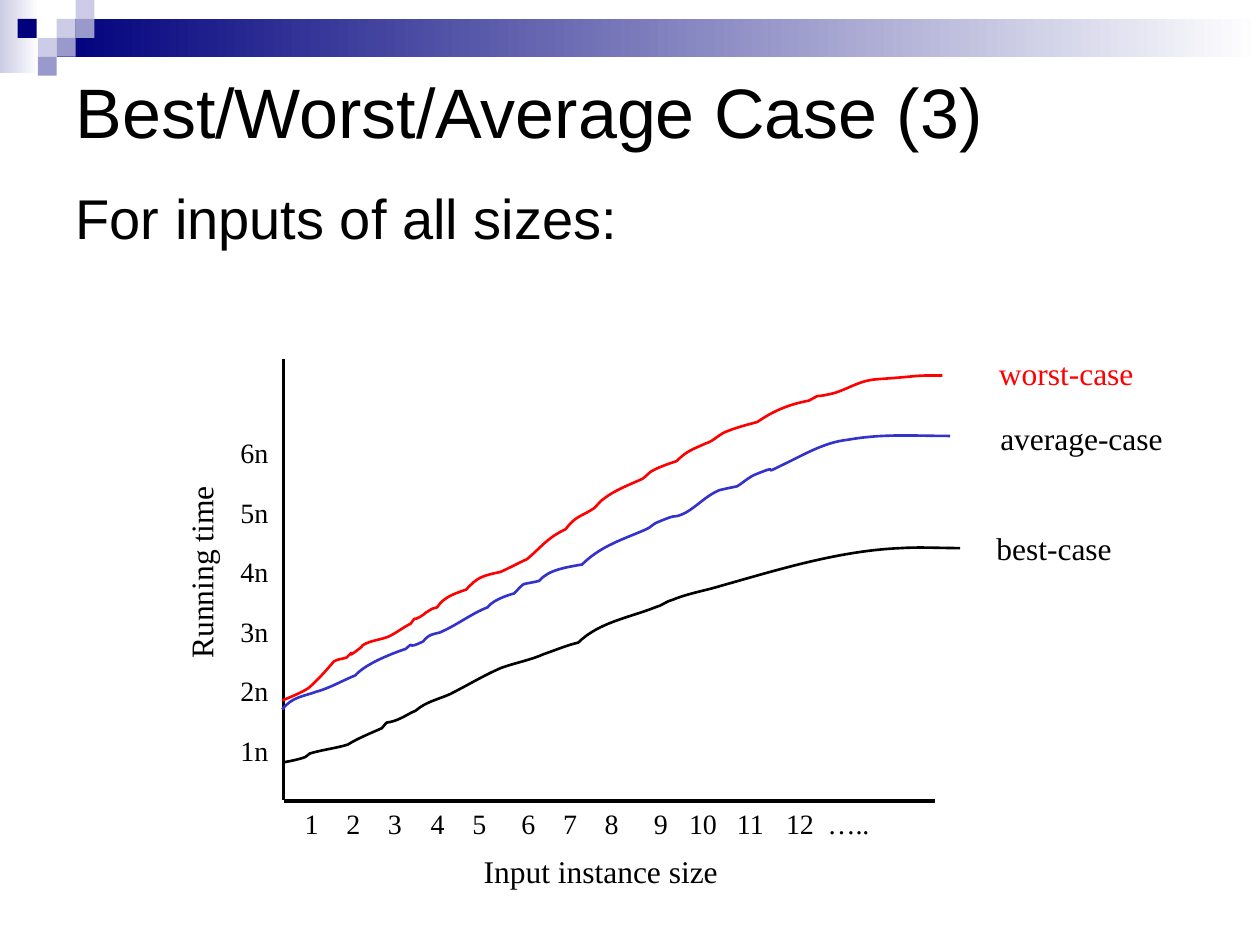
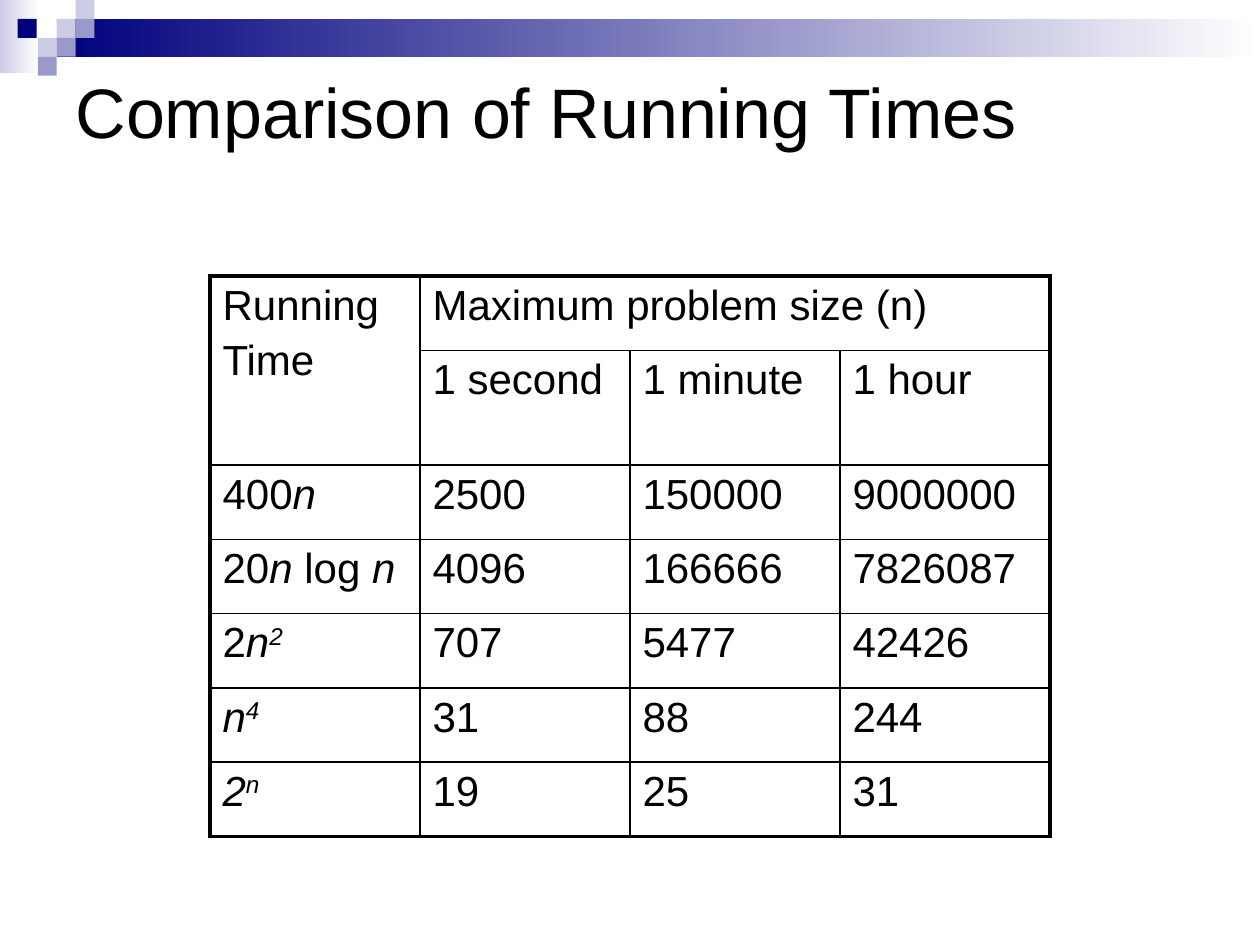
from dataclasses import dataclass
from typing import NamedTuple

from lxml.etree import SubElement as Sub
from pptx import Presentation
from pptx.dml.color import RGBColor as Rgb
from pptx.enum.shapes import MSO_CONNECTOR as Conn, MSO_SHAPE as Geo
from pptx.enum.text import MSO_ANCHOR as Anchor, MSO_AUTO_SIZE as Auto, PP_ALIGN as Align
from pptx.oxml.ns import qn
from pptx.util import Inches, Pt


@dataclass(frozen=True)
class Theme:
    """Colours, fonts, type sizes and line widths of the deck."""
    black: str = "000000"
    white: str = "FFFFFF"
    navy: str = "00007D"
    mid: str = "9999CC"
    pale: str = "CCCCE6"
    red: str = "FF0000"
    blue: str = "3333CC"
    sans: str = "Arial"
    serif: str = "Times New Roman"
    title: float = 40
    body: float = 32
    cell: float = 24
    label: float = 18
    tick: float = 16
    axis: float = 2.24
    curve: float = 1.5
    thick: float = 2.21
    thin: float = 0.96


T = Theme()
NO_STYLE = "{2D5ABB26-0587-4C30-8999-92F81FD0307C}"


class Box(NamedTuple):
    """A place on the slide, in inches."""
    left: float
    top: float
    width: float
    height: float

    def emu(self) -> list:
        """Give the four values as lengths."""
        return [Inches(v) for v in self]


class Block(NamedTuple):
    """A rectangle of the master band, with a gradient if end is set."""
    box: Box
    color: str
    end: str = ""


class Label(NamedTuple):
    """A line of text on the chart."""
    text: str
    box: Box
    size: float = T.label
    color: str = T.black
    turn: float = 0


class Curve(NamedTuple):
    """A start point and Bezier triples, with a colour."""
    color: str
    points: tuple


class Part(NamedTuple):
    """A piece of text inside a cell."""
    text: str
    ital: bool = False
    sup: bool = False


SQ = 0.15
BAND = (
    Block(Box(0, 0, 0.31, 0.58), T.pale, T.white),
    Block(Box(0.45, SQ, 9.55, 0.3), T.navy, T.white),
    *(Block(Box(x, y, SQ, SQ), color) for x, y, color in (
        (0.45, 0.15, T.pale), (0.6, 0, T.pale), (0.6, 0.15, T.mid),
        (0.3, 0.3, T.pale), (0.14, 0.15, T.navy), (0.45, 0.3, T.mid),
        (0.3, 0.45, T.mid))),
)

STEPS = [Label(f"{n}n", Box(1.81, 5.77 - 0.472 * (n - 1), 0.42, 0.36), T.tick)
         for n in range(1, 7)]
NAMES = (
    Label("Input instance size", Box(3.74, 6.71, 2.06, 0.4)),
    Label("Running time", Box(0.81, 4.34, 1.57, 0.4), turn=270),
)
CASES = (
    Label("best-case", Box(7.81, 4.15, 1.12, 0.4)),
    Label("average-case", Box(7.84, 3.28, 1.49, 0.4)),
    Label("worst-case", Box(7.83, 2.76, 1.27, 0.4), color=T.red),
)

TICKS = (*map(str, range(1, 13)), "…..")
STOPS = (0.33, 0.66, 1, 1.33, 1.72, 2.05, 2.38, 2.77, 3.05, 3.43, 3.82, 4.15)
AXES = ((2.25, 2.85, 2.25, 6.35), (2.25, 6.36, 7.42, 6.36))

BEST = Curve(T.black, (
    (2.25, 6.05),
    (2.31, 6.04), (2.36, 6.03), (2.42, 6.01), (2.43, 6.01), (2.44, 5.99), (2.46, 5.98),
    (2.56, 5.95), (2.66, 5.94), (2.76, 5.91), (2.84, 5.86), (2.94, 5.82), (3.03, 5.78),
    (3.1, 5.7), (3.03, 5.76), (3.16, 5.71), (3.21, 5.69), (3.25, 5.66), (3.3, 5.64),
    (3.38, 5.57), (3.48, 5.55), (3.57, 5.51), (3.71, 5.44), (3.84, 5.36), (3.98, 5.3),
    (4.09, 5.26), (4.21, 5.24), (4.32, 5.19), (4.41, 5.16), (4.5, 5.12), (4.59, 5.1),
    (4.75, 4.94), (5, 4.9), (5.2, 4.82), (5.25, 4.81), (5.29, 4.77), (5.34, 4.76),
    (5.46, 4.71), (5.59, 4.69), (5.72, 4.65), (6.18, 4.52), (6.66, 4.37), (7.15, 4.35),
    (7.3, 4.34), (7.46, 4.35), (7.62, 4.35)))
WORST = Curve(T.red, (
    (2.24, 5.56),
    (2.31, 5.53), (2.39, 5.5), (2.45, 5.46), (2.52, 5.4), (2.59, 5.32), (2.65, 5.25),
    (2.68, 5.23), (2.72, 5.23), (2.75, 5.22), (2.85, 5.12), (2.71, 5.26), (2.85, 5.15),
    (2.87, 5.15), (2.87, 5.12), (2.88, 5.12), (2.95, 5.08), (3.02, 5.08), (3.09, 5.05),
    (3.15, 5.02), (3.2, 4.98), (3.26, 4.95), (3.32, 4.87), (3.25, 4.95), (3.36, 4.88),
    (3.37, 4.87), (3.38, 4.86), (3.4, 4.85), (3.42, 4.83), (3.44, 4.83), (3.47, 4.82),
    (3.52, 4.74), (3.61, 4.71), (3.7, 4.68), (3.79, 4.58), (3.83, 4.57), (3.97, 4.54),
    (4.04, 4.51), (4.11, 4.47), (4.18, 4.44), (4.29, 4.35), (4.34, 4.27), (4.49, 4.2),
    (4.57, 4.09), (4.62, 4.1), (4.72, 4.03), (4.74, 4.01), (4.76, 3.98), (4.79, 3.96),
    (4.88, 3.89), (4.99, 3.85), (5.1, 3.8), (5.13, 3.78), (5.16, 3.74), (5.19, 3.73),
    (5.25, 3.7), (5.31, 3.68), (5.37, 3.66), (5.45, 3.58), (5.49, 3.57), (5.6, 3.52),
    (5.67, 3.5), (5.71, 3.44), (5.78, 3.42), (5.85, 3.39), (6.01, 3.35), (6.01, 3.35),
    (6.14, 3.26), (6.26, 3.21), (6.42, 3.18), (6.55, 3.11), (6.42, 3.17), (6.62, 3.12),
    (6.75, 3.08), (6.82, 3.02), (6.96, 3.01), (7.38, 2.98), (7.21, 2.98), (7.48, 2.98)))
MEAN = Curve(T.blue, (
    (2.24, 5.63),
    (2.32, 5.53), (2.4, 5.53), (2.51, 5.49), (2.62, 5.46), (2.72, 5.4), (2.82, 5.36),
    (2.9, 5.27), (3.1, 5.19), (3.22, 5.15), (3.31, 5.07), (3.2, 5.17), (3.36, 5.09),
    (3.37, 5.08), (3.38, 5.06), (3.4, 5.05), (3.43, 5.03), (3.46, 5.03), (3.49, 5.02),
    (3.63, 4.96), (3.74, 4.87), (3.87, 4.82), (3.92, 4.75), (4.08, 4.71), (4.08, 4.71),
    (4.18, 4.61), (4.11, 4.65), (4.28, 4.61), (4.35, 4.52), (4.51, 4.5), (4.62, 4.48),
    (4.77, 4.33), (4.95, 4.28), (5.13, 4.2), (5.16, 4.19), (5.19, 4.15), (5.23, 4.14),
    (5.42, 4.06), (5.31, 4.13), (5.44, 4.07), (5.53, 4.02), (5.61, 3.93), (5.71, 3.89),
    (5.75, 3.88), (5.8, 3.87), (5.85, 3.86), (5.9, 3.83), (5.95, 3.78), (6.01, 3.76),
    (6.23, 3.67), (6.01, 3.79), (6.21, 3.69), (6.38, 3.61), (6.54, 3.51), (6.73, 3.49),
    (7.01, 3.44), (7.25, 3.46), (7.54, 3.46)))

N = Part("n", ital=True)
HEADS = ("1 second", "1 minute", "1 hour")
RATES = (
    ((Part("400"), N), "2500", "150000", "9000000"),
    ((Part("20"), N, Part(" log "), N), "4096", "166666", "7826087"),
    ((Part("2"), N, Part("2", True, True)), "707", "5477", "42426"),
    ((N, Part("4", True, True)), "31", "88", "244"),
    ((Part("2", True), Part("n", True, True)), "19", "25", "31"),
)


def style(para, face: str, size: float, color: str = T.black) -> None:
    """Set the font of a paragraph."""
    font = para.font
    font.name, font.size = face, Pt(size)
    font.color.rgb = Rgb.from_string(color)


def add_band(deck, slide) -> None:
    """Draw the band once and move it behind all else on the master."""
    tree = deck.slide_master.element.cSld.spTree
    for spot, block in enumerate(BAND, 2):
        shape = slide.shapes.add_shape(Geo.RECTANGLE, *block.box.emu())
        shape.shadow.inherit = False
        shape.line.fill.background()
        if block.end:
            shape.fill.gradient()
            shape.fill.gradient_angle = 0
            for stop, color in zip(shape.fill.gradient_stops, (block.color, block.end)):
                stop.color.rgb = Rgb.from_string(color)
        else:
            shape.fill.solid()
            shape.fill.fore_color.rgb = Rgb.from_string(block.color)
        tree.insert(spot, shape.element)


def fill_holder(shape, text: str, box: Box, size: float):
    """Move a placeholder, set its text and return the paragraph."""
    shape.left, shape.top, shape.width, shape.height = box.emu()
    frame = shape.text_frame
    frame.text, frame.auto_size = text, Auto.NONE
    para = frame.paragraphs[0]
    para.alignment = Align.LEFT
    style(para, T.sans, size)
    return para


def add_title(slide, text: str) -> None:
    """Set the slide title."""
    fill_holder(slide.shapes.title, text, Box(0.5, 0.5, 9, 0.75), T.title)
    slide.shapes.title.text_frame.vertical_anchor = Anchor.MIDDLE


def add_body(slide, text: str) -> None:
    """Set the body line, without a bullet."""
    para = fill_holder(slide.placeholders[1], text, Box(0.5, 1.41, 9, 1.09), T.body)
    para.space_before = Pt(6.4)
    props = para._p.get_or_add_pPr()
    props.set("marL", str(Inches(0.37)))
    props.set("indent", str(Inches(-0.37)))
    props.insert_element_before(props.makeelement(qn("a:buNone")), "a:tabLst", "a:defRPr")


def add_label(slide, label: Label):
    """Draw a chart label and return its paragraph."""
    shape = slide.shapes.add_textbox(*label.box.emu())
    shape.rotation = label.turn
    shape.text_frame.word_wrap = label.box.width > 4
    para = shape.text_frame.paragraphs[0]
    para.text = label.text
    style(para, T.serif, label.size, label.color)
    return para


def add_ticks(slide) -> None:
    """Draw the input sizes on tab stops below the axis."""
    para = add_label(slide, Label("\t".join(TICKS), Box(2.32, 6.35, 4.89, 0.36), T.tick))
    props = para._p.get_or_add_pPr()
    tabs = props.makeelement(qn("a:tabLst"))
    for stop in STOPS:
        Sub(tabs, qn("a:tab"), pos=str(Inches(stop)), algn="l")
    props.insert_element_before(tabs, "a:defRPr")


def add_axis(slide, ends: tuple) -> None:
    """Draw one axis line."""
    line = slide.shapes.add_connector(Conn.STRAIGHT, *map(Inches, ends))
    line.line.color.rgb = Rgb.from_string(T.black)
    line.line.width = Pt(T.axis)
    Sub(line.element.spPr, qn("a:effectLst"))


def bend(shape) -> None:
    """Join each three line segments of a freeform into one Bezier curve."""
    route = next(shape.element.iter(qn("a:path")))
    legs = route.findall(qn("a:lnTo"))
    for i in range(0, len(legs), 3):
        arc = Sub(route, qn("a:cubicBezTo"))
        for leg in legs[i:i + 3]:
            arc.append(leg[0])
            route.remove(leg)


def add_curve(slide, curve: Curve) -> None:
    """Draw one running time curve."""
    start, *rest = [tuple(map(Inches, point)) for point in curve.points]
    pen = slide.shapes.build_freeform(*start)
    pen.add_line_segments(rest, close=False)
    shape = pen.convert_to_shape()
    bend(shape)
    shape.shadow.inherit = False
    shape.fill.background()
    shape.line.color.rgb = Rgb.from_string(curve.color)
    shape.line.width = Pt(T.curve)


def set_cell(cell, *lines) -> None:
    """Fill a cell with lines, each a string or a tuple of parts."""
    frame = cell.text_frame
    for i, line in enumerate(lines):
        para = frame.add_paragraph() if i else frame.paragraphs[0]
        para.space_before = Pt(4.8)
        style(para, T.sans, T.cell)
        for part in (Part(line),) if isinstance(line, str) else line:
            run = para.add_run()
            run.text = part.text
            if part.ital:
                run.font.italic = True
            if part.sup:
                run._r.get_or_add_rPr().set("baseline", "30000")


def set_edges(cell, row: int, col: int, rows: int, cols: int) -> None:
    """Rule a cell: thick on the outside of the table, thin inside."""
    props = cell._tc.get_or_add_tcPr()
    outer = {"L": col == 0, "R": col + cell.span_width == cols,
             "T": row == 0, "B": row + cell.span_height == rows}
    for side, edge in outer.items():
        if cell.is_spanned and not edge:
            continue
        line = Sub(props, qn(f"a:ln{side}"), w=str(Pt(T.thick if edge else T.thin)))
        Sub(Sub(line, qn("a:solidFill")), qn("a:srgbClr"), val=T.black)
    cell.fill.background()


def add_rates(slide) -> None:
    """Draw the table of problem sizes."""
    rows, cols = len(RATES) + 2, len(HEADS) + 1
    box = Box(5 / 3, 2.19, 20 / 3, 4.45)
    table = slide.shapes.add_table(rows, cols, *box.emu()).table
    table.first_row = table.horz_banding = False
    table._tbl.tblPr.find(qn("a:tableStyleId")).text = NO_STYLE
    for i, row in enumerate(table.rows):
        row.height = Inches(0.91 if i == 1 else 0.59)
    table.cell(0, 0).merge(table.cell(1, 0))
    table.cell(0, 1).merge(table.cell(0, cols - 1))
    set_cell(table.cell(0, 0), "Running", "Time")
    set_cell(table.cell(0, 1), "Maximum problem size (n)")
    for r, items in enumerate((("", *HEADS), *RATES), 1):
        for c, item in enumerate(items):
            if item:
                set_cell(table.cell(r, c), item)
    for r in range(rows):
        for c in range(cols):
            set_edges(table.cell(r, c), r, c, rows, cols)


def main() -> None:
    """Build and save the deck."""
    deck = Presentation()
    deck.slide_width, deck.slide_height = Inches(10), Inches(7.5)
    cases = deck.slides.add_slide(deck.slide_layouts[1])
    add_band(deck, cases)
    add_title(cases, "Best/Worst/Average Case (3)")
    add_body(cases, "For inputs of all sizes:")
    for label in STEPS:
        add_label(cases, label)
    for ends in AXES:
        add_axis(cases, ends)
    for label in NAMES:
        add_label(cases, label)
    add_ticks(cases)
    for curve in (BEST, WORST, MEAN):
        add_curve(cases, curve)
    for label in CASES:
        add_label(cases, label)

    times = deck.slides.add_slide(deck.slide_layouts[5])
    add_title(times, "Comparison of Running Times")
    add_rates(times)
    deck.save("out.pptx")


main()
